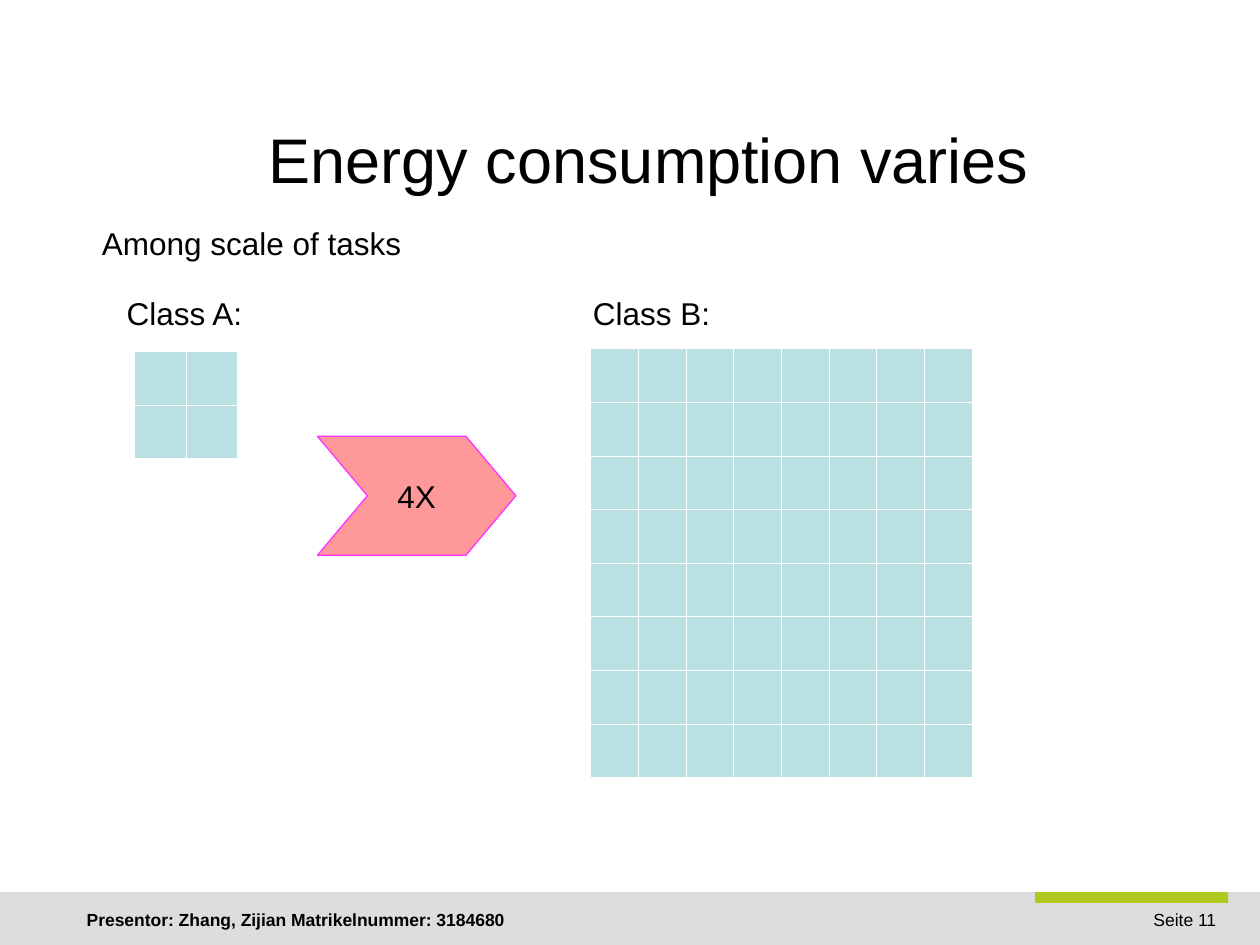
from lxml.etree import SubElement
from pptx import Presentation
from pptx.dml.color import RGBColor
from pptx.enum.shapes import MSO_SHAPE
from pptx.enum.text import MSO_ANCHOR, PP_ALIGN
from pptx.oxml.ns import qn
from pptx.util import Pt

BLACK = RGBColor(0x00, 0x00, 0x00)
FOOTER_GRAY = RGBColor(0xDC, 0xDE, 0xDE)
ACCENT_GREEN = RGBColor(0xB1, 0xC9, 0x1F)
CELL_BLUE = RGBColor(0xBB, 0xE0, 0xE3)
ARROW_PINK = RGBColor(0xFF, 0x99, 0x99)
ARROW_MAGENTA = RGBColor(0xFF, 0x33, 0xFF)
BORDER_WHITE = "FFFFFF"


def write_text(shape, text, size=18, bold=False, align=PP_ALIGN.LEFT,
               anchor=MSO_ANCHOR.TOP):
    frame = shape.text_frame
    frame.word_wrap = True
    frame.vertical_anchor = anchor
    frame.margin_left = frame.margin_right = Pt(7.2)
    frame.margin_top = frame.margin_bottom = Pt(3.6)
    paragraph = frame.paragraphs[0]
    paragraph.alignment = align
    run = paragraph.add_run()
    run.text = text
    run.font.name = "Arial"
    run.font.size = Pt(size)
    run.font.bold = bold
    run.font.color.rgb = BLACK


def add_cell_borders(cell):
    properties = cell._tc.get_or_add_tcPr()
    for index, side in enumerate(("a:lnL", "a:lnR", "a:lnT", "a:lnB")):
        line = SubElement(properties, qn(side), w=str(Pt(0.06)))
        fill = SubElement(line, qn("a:solidFill"))
        SubElement(fill, qn("a:srgbClr"), val=BORDER_WHITE)
        properties.insert(index, line)


presentation = Presentation()
presentation.slide_width, presentation.slide_height = Pt(720), Pt(540)
slide = presentation.slides.add_slide(presentation.slide_layouts[5])
shapes = slide.shapes

# Footer bar and accent
for left, top, width, height, color in (
    (0, 509.8, 720, 30.2, FOOTER_GRAY),
    (591.5, 509.8, 110.3, 6.2, ACCENT_GREEN),
):
    bar = shapes.add_shape(MSO_SHAPE.RECTANGLE, Pt(left), Pt(top), Pt(width), Pt(height))
    bar.shadow.inherit = False
    bar.fill.solid()
    bar.fill.fore_color.rgb = color
    bar.line.fill.background()

# Title
title = shapes.title
title.left, title.top, title.width, title.height = Pt(39.6), Pt(65.5), Pt(662.4), Pt(65.5)
write_text(title, "Energy consumption varies", size=36, align=PP_ALIGN.CENTER)

# Footer texts, subtitle and class labels
for text, left, top, width, height, text_format in (
    ("Seite 11", 561.6, 516.2, 140.4, 23.8, {"size": 10, "align": PP_ALIGN.RIGHT}),
    ("Presentor: Zhang, Zijian Matrikelnummer: 3184680", 42.5, 516.2, 524, 23.8,
     {"size": 10, "bold": True}),
    ("Among scale of tasks", 51.1, 124.4, 232.5, 28, {}),
    ("Class A:", 65.3, 164.4, 86, 27.5, {}),
    ("Class B:", 331.7, 164.4, 86, 27.5, {}),
):
    box = shapes.add_textbox(Pt(left), Pt(top), Pt(width), Pt(height))
    write_text(box, text, **text_format)

# Task grids
for count, left, top, cell_width, cell_height in (
    (2, 76.7, 200.6, 29.5, 30.6),
    (8, 337.4, 199.1, 27.25, 30.65),
):
    frame = shapes.add_table(count, count, Pt(left), Pt(top),
                             Pt(count * cell_width), Pt(count * cell_height))
    table = frame.table
    table.first_row = table.horz_banding = False
    for column in table.columns:
        column.width = Pt(cell_width)
    for row in table.rows:
        row.height = Pt(cell_height)
    for cell in table.iter_cells():
        cell.fill.solid()
        cell.fill.fore_color.rgb = CELL_BLUE
        add_cell_borders(cell)

# Scale arrow
arrow = shapes.add_shape(MSO_SHAPE.CHEVRON, Pt(181.4), Pt(249.3), Pt(113.4), Pt(68))
arrow.adjustments[0] = 0.42
arrow.shadow.inherit = False
arrow.fill.solid()
arrow.fill.fore_color.rgb = ARROW_PINK
arrow.line.color.rgb = ARROW_MAGENTA
arrow.line.width = Pt(0)
write_text(arrow, "4X", align=PP_ALIGN.CENTER, anchor=MSO_ANCHOR.MIDDLE)

presentation.save("out.pptx")
